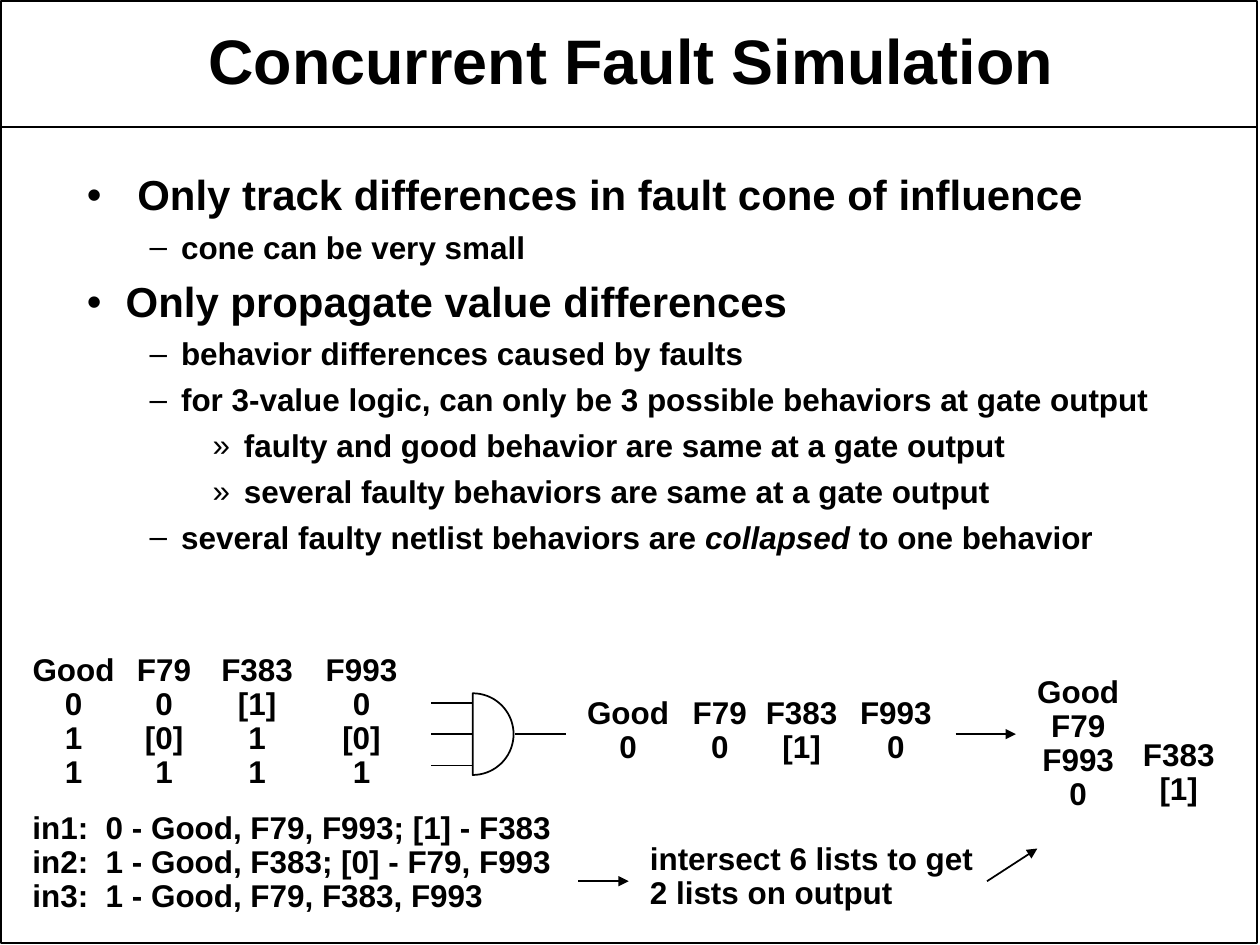
from dataclasses import dataclass
from math import cos, pi, sin

from lxml.etree import SubElement
from pptx import Presentation
from pptx.dml.color import RGBColor
from pptx.enum.shapes import MSO_CONNECTOR, MSO_SHAPE
from pptx.enum.text import MSO_ANCHOR, MSO_AUTO_SIZE, PP_ALIGN
from pptx.oxml.ns import qn
from pptx.util import Inches, Pt


@dataclass(frozen=True)
class Theme:
    font: str = "Arial"
    ink: RGBColor = RGBColor(0, 0, 0)
    title_size: int = 36
    topic_size: int = 24
    text_size: int = 18
    line_width: int = 1


# Bullet, left margin and hanging indent in inches, space before in points
LEVELS = [("•", 0.31, 0.31, 9), ("–", 0.75, 0.25, 6.8), ("»", 1.25, 0.25, 6.8)]

BULLETS = [
    (0, [" Only track differences in fault cone of influence"]),
    (1, ["cone can be very small"]),
    (0, ["Only propagate value differences"]),
    (1, ["behavior differences caused by faults"]),
    (1, ["for 3-value logic, can only be 3 possible behaviors at gate output"]),
    (2, ["faulty and good behavior are same at a gate output"]),
    (2, ["several faulty behaviors are same at a gate output"]),
    (1, ["several faulty netlist behaviors are ", "collapsed", " to one behavior"]),
]

# Column, row and lines of each list of machine values
VALUE_LISTS = [
    (1.6, 51.6, ["Good", "0", "1", "1"]),
    (9.9, 51.6, ["F79", "0", "[0]", "1"]),
    (16.6, 51.6, ["F383", "[1]", "1", "1"]),
    (24.9, 51.6, ["F993", "0", "[0]", "1"]),
    (45.7, 55, ["Good", "0"]),
    (54.1, 55, ["F79", "0"]),
    (59.9, 55, ["F383", "[1]"]),
    (67.4, 55, ["F993", "0"]),
    (81.5, 53.3, ["Good", "F79", "F993", "0"]),
    (89.9, 58.3, ["F383", "[1]"]),
]
LABEL_WIDTHS = {"Good": 8.5, "F79": 6.3, "F383": 7.7, "F993": 7.7}

INPUT_LISTS = [
    "in1:  0 - Good, F79, F993; [1] - F383",
    "in2:  1 - Good, F383; [0] - F79, F993",
    "in3:  1 - Good, F79, F383, F993",
]


class SlideBuilder:
    """Draws on a grid whose columns and rows are a tenth of an inch."""

    def __init__(self, slide, theme):
        self.slide = slide
        self.theme = theme

    def cells(self, *lengths):
        return [Inches(length / 10) for length in lengths]

    def place(self, shape, *box):
        shape.left, shape.top, shape.width, shape.height = self.cells(*box)

    def style_runs(self, paragraph, size):
        for run in paragraph.runs:
            run.font.name = self.theme.font
            run.font.size = Pt(size)
            run.font.bold = True
            run.font.color.rgb = self.theme.ink

    def style_line(self, line):
        line.color.rgb = self.theme.ink
        line.width = Pt(self.theme.line_width)

    def style_outline(self, shape):
        shape.shadow.inherit = False
        shape.fill.background()
        self.style_line(shape.line)

    def title(self, text, *box):
        shape = self.slide.shapes.title
        self.place(shape, *box)
        frame = shape.text_frame
        frame.text = text
        frame.auto_size = MSO_AUTO_SIZE.NONE
        frame.vertical_anchor = MSO_ANCHOR.TOP
        frame.margin_left = frame.margin_right = Inches(0.07)
        frame.margin_top = frame.margin_bottom = Inches(0.03)
        paragraph = frame.paragraphs[0]
        paragraph.alignment = PP_ALIGN.CENTER
        paragraph.line_spacing = 0.95
        self.style_runs(paragraph, self.theme.title_size)

    def bullets(self, items, *box):
        shape = self.slide.placeholders[1]
        self.place(shape, *box)
        frame = shape.text_frame
        frame.text = "\n".join("".join(parts) for _, parts in items)
        frame.auto_size = MSO_AUTO_SIZE.NONE
        frame.vertical_anchor = MSO_ANCHOR.TOP
        for paragraph, (level, parts) in zip(frame.paragraphs, items):
            paragraph.text = parts[0]
            for part in parts[1:]:
                paragraph.add_run().text = part
            self.style_runs(paragraph, self.theme.text_size if level else self.theme.topic_size)
            # The middle part of a split line is emphasised
            for run in paragraph.runs[1:2]:
                run.font.italic = True
            self.bullet(paragraph, level)

    def bullet(self, paragraph, level):
        character, margin, hanging, space = LEVELS[level]
        paragraph.level = level
        paragraph.line_spacing = 0.9
        paragraph.space_before = Pt(space)
        paragraph.space_after = Pt(0)
        properties = paragraph._p.get_or_add_pPr()
        properties.set("marL", str(Inches(margin)))
        properties.set("indent", str(-Inches(hanging)))
        color = SubElement(properties, qn("a:buClr"))
        SubElement(color, qn("a:srgbClr"), val=str(self.theme.ink))
        SubElement(properties, qn("a:buFont"), typeface=self.theme.font)
        SubElement(properties, qn("a:buChar"), char=character)

    def text(self, lines, column, row, width, alignment=PP_ALIGN.LEFT):
        height = 1 + 2.7 * len(lines)
        box = self.slide.shapes.add_textbox(*self.cells(column, row, width, height))
        frame = box.text_frame
        frame.text = "\n".join(lines)
        frame.word_wrap = False
        frame.auto_size = MSO_AUTO_SIZE.SHAPE_TO_FIT_TEXT
        for paragraph in frame.paragraphs:
            paragraph.alignment = alignment
            paragraph.line_spacing = 0.9
            self.style_runs(paragraph, self.theme.text_size)

    def frame(self, *box):
        shape = self.slide.shapes.add_shape(MSO_SHAPE.RECTANGLE, *self.cells(*box))
        self.style_outline(shape)

    def line(self, *ends, arrow=False):
        connector = self.slide.shapes.add_connector(MSO_CONNECTOR.STRAIGHT, *self.cells(*ends))
        self.style_line(connector.line)
        if arrow:
            SubElement(connector.line._get_or_add_ln(), qn("a:tailEnd"), type="triangle")
        SubElement(connector._element.spPr, qn("a:effectLst"))

    def half_disc(self, column, row, radius, steps=36):
        angles = [pi * step / steps - pi / 2 for step in range(steps + 1)]
        points = [self.cells(column + radius * cos(angle), row + radius * sin(angle)) for angle in angles]
        builder = self.slide.shapes.build_freeform(*points[0])
        builder.add_line_segments(points[1:], close=True)
        self.style_outline(builder.convert_to_shape())


def main():
    presentation = Presentation()
    presentation.slide_width = Pt(721.5)
    presentation.slide_height = Pt(541.25)
    slide = presentation.slides.add_slide(presentation.slide_layouts[1])
    builder = SlideBuilder(slide, Theme())

    # Frame, heading and bullet list
    builder.frame(0.1, 0.1, 99.9, 74.9)
    builder.line(0.1, 10.1, 99.9, 10.1)
    builder.title("Concurrent Fault Simulation", 15.6, 1.9, 69.2, 6.3)
    builder.bullets(BULLETS, 5.9, 13.4, 88.3, 32.5)

    # Values at the gate inputs, at its output and after merging
    for column, row, lines in VALUE_LISTS:
        builder.text(lines, column, row, LABEL_WIDTHS[lines[0]], PP_ALIGN.CENTER)

    # AND gate with three inputs and one output
    gate_column, gate_row = 37.6, 58.4
    for offset in (-2.5, 0, 2.5):
        builder.line(34.3, gate_row + offset, gate_column, gate_row + offset)
    builder.half_disc(gate_column, gate_row, 3.25)
    builder.line(41, gate_row, 45, gate_row)
    builder.line(76, gate_row, 80.8, gate_row, arrow=True)

    # Input lists and their intersection
    builder.text(INPUT_LISTS, 1.6, 64.1, 43.8)
    builder.line(46, 70.1, 50, 70.1, arrow=True)
    builder.text(["intersect 6 lists to get", "2 lists on output"], 50.7, 66.6, 27.9)
    builder.line(78.5, 70.1, 82.5, 67.5, arrow=True)

    presentation.save("out.pptx")


if __name__ == "__main__":
    main()
